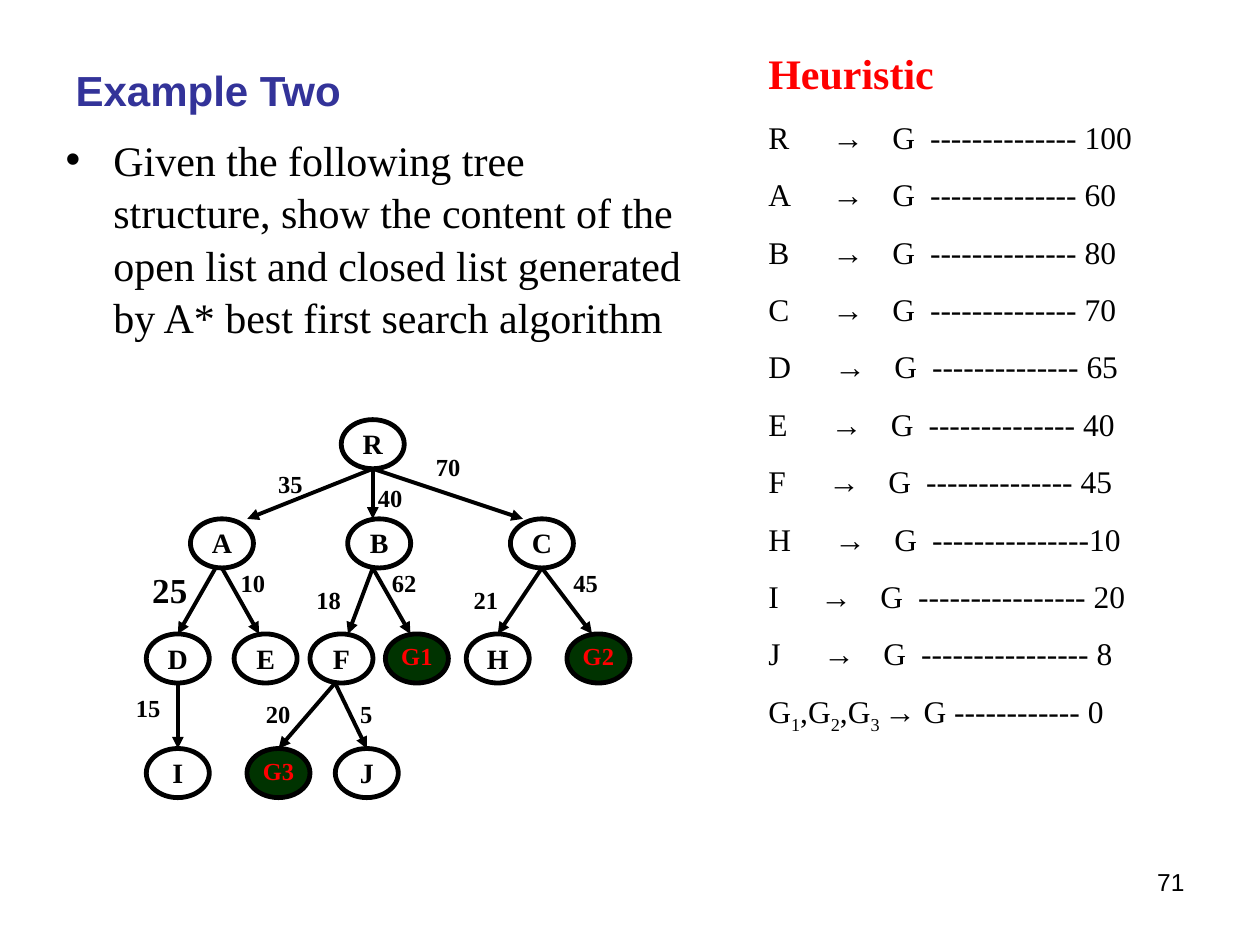
from pptx import Presentation
from pptx.dml.color import RGBColor
from pptx.enum import shapes, text
from pptx.oxml import parse_xml
from pptx.oxml.ns import nsdecls, qn
from pptx.util import Cm, Pt

HUES = {"ink": "000000", "title": "333399", "red": "FF0000",
        "goal": "003300", "paper": "FFFFFF"}
SERIF, SANS = "Times New Roman", "Arial"

TITLE = "Example Two"
TASK = ("Given the following tree structure, show the content of the open list "
        "and closed list generated by A* best first search algorithm")
PAGE = "71"

# node, dashes and cost, shift of the tab stops
COSTS = [
    ("R", "-------------- 100", 0),
    ("A", "-------------- 60", 0),
    ("B", "-------------- 80", 0),
    ("C", "-------------- 70", 0),
    ("D", "-------------- 65", 0.04),
    ("E", "-------------- 40", -0.03),
    ("F", "-------------- 45", -0.08),
    ("H", "---------------10", 0.04),
    ("I", "---------------- 20", -0.24),
    ("J", "---------------- 8", -0.18),
]
STOPS = (1.29, 2.5, 3.26)
GOALS = [("G", 0), ("1", 1), (",G", 0), ("2", 1), (",G", 0), ("3 ", 1)]

LEVELS = [
    (8.46, {"R": 6.88}),
    (10.46, {"A": 3.84, "B": 7.01, "C": 10.29}),
    (12.78, {"D": 2.95, "E": 4.72, "F": 6.25, "G1": 7.77, "H": 9.4, "G2": 11.43}),
    (15.09, {"I": 2.95, "G3": 4.98, "J": 6.76}),
]
WIDE, HIGH = 1.27, 0.99

# parent, child, shift at start, shift at end, cost, label left, label top, size
EDGES = [
    ("R", "A", 0, 0.51, "35", 5.61, 9.45, 14),
    ("R", "B", 0, -0.13, "40", 7.62, 9.73, 14),
    ("R", "C", 0, -0.38, "70", 8.79, 9.12, 14),
    ("A", "D", -0.13, 0, "25", 3.07, 11.46, 20),
    ("A", "E", 0, -0.13, "10", 4.85, 11.46, 14),
    ("B", "F", -0.13, 0.13, "18", 6.38, 11.79, 14),
    ("B", "G1", -0.13, -0.13, "62", 7.9, 11.46, 14),
    ("C", "H", 0, 0, "21", 9.55, 11.79, 14),
    ("C", "G2", 0, -0.13, "45", 11.56, 11.46, 14),
    ("D", "I", 0, 0, "15", 2.74, 13.97, 14),
    ("F", "G3", -0.13, 0, "20", 5.36, 14.1, 14),
    ("F", "J", -0.13, 0, "5", 7.26, 14.1, 14),
]


def tint(name):
    return RGBColor.from_string(HUES[name])


def write(para, words, size, face=SERIF, hue="ink", bold=False, low=False):
    run = para.add_run()
    run.text = words
    font = run.font
    font.size, font.name, font.bold = Pt(size), face, bold
    font.color.rgb = tint(hue)
    if low:
        run._r.get_or_add_rPr().set("baseline", "-25000")


def place(shape, left, top, width, height):
    shape.left, shape.top = Cm(left), Cm(top)
    shape.width, shape.height = Cm(width), Cm(height)


def setup(frame, inset=None):
    frame.word_wrap = True
    frame.auto_size = text.MSO_AUTO_SIZE.NONE
    frame.vertical_anchor = text.MSO_ANCHOR.TOP
    if inset is not None:
        frame.margin_left = frame.margin_right = Cm(inset)
        frame.margin_top = frame.margin_bottom = Cm(inset)
    return frame.paragraphs[0]


def box(slide, left, top, width, height, inset=None):
    area = slide.shapes.add_textbox(Cm(left), Cm(top), Cm(width), Cm(height))
    return area.text_frame, setup(area.text_frame, inset)


def head(slide):
    title, body = slide.shapes.title, slide.placeholders[1]
    place(title, 1.27, 1.27, 6.99, 1.07)
    para = setup(title.text_frame)
    title.text_frame.vertical_anchor = text.MSO_ANCHOR.MIDDLE
    para.alignment = text.PP_ALIGN.LEFT
    write(para, TITLE, 24, SANS, "title", True)

    place(body, 1.07, 2.54, 13.13, 6.15)
    para = setup(body.text_frame)
    props = para._p.get_or_add_pPr()
    props.set("marL", str(Cm(0.96)))
    props.set("indent", str(Cm(-0.96)))
    props.append(parse_xml(f'<a:buChar {nsdecls("a")} char="•"/>'))
    para.space_before = Pt(0)
    para.line_spacing = 1.04
    write(para, TASK, 24)


def table(slide):
    frame, para = box(slide, 15.24, 0.84, 9.32, 14.12)
    write(para, "Heuristic", 24, hue="red", bold=True)
    for node, cost, shift in COSTS:
        para = frame.add_paragraph()
        stops = "".join(f'<a:tab pos="{Cm(s + shift)}" algn="l"/>' for s in STOPS)
        para._p.get_or_add_pPr().append(
            parse_xml(f'<a:tabLst {nsdecls("a")}>{stops}</a:tabLst>'))
        para.space_before = Pt(11.2)
        write(para, node + "\t", 18)
        write(para, "→", 18, SANS)
        write(para, f"\tG\t{cost}", 18)
    para = frame.add_paragraph()
    para.space_before = Pt(11.2)
    for words, low in GOALS:
        write(para, words, 18, low=low)
    write(para, "→", 18, SANS)
    write(para, " G ------------ 0", 18)


def tree(slide):
    spots = {}
    for top, row in LEVELS:
        for name, left in row.items():
            spots[name] = (left + WIDE / 2, top)
            goal = name.startswith("G")
            oval = slide.shapes.add_shape(shapes.MSO_SHAPE.OVAL, Cm(left), Cm(top),
                                          Cm(WIDE), Cm(HIGH))
            oval.shadow.inherit = False
            oval.fill.solid()
            oval.fill.fore_color.rgb = tint("goal" if goal else "paper")
            oval.line.color.rgb = tint("ink")
            oval.line.width = Pt(2.75)
            para = setup(oval.text_frame, 0)
            para.alignment = text.PP_ALIGN.CENTER
            write(para, name, 14 if goal else 16, hue="red" if goal else "ink", bold=True)

    for parent, child, start, end, cost, left, top, size in EDGES:
        (ax, ay), (bx, by) = spots[parent], spots[child]
        line = slide.shapes.add_connector(shapes.MSO_CONNECTOR.STRAIGHT, Cm(ax + start),
                                          Cm(ay + HIGH), Cm(bx + end), Cm(by))
        line.line.color.rgb = tint("ink")
        line.line.width = Pt(2.25)
        props = line._element.spPr
        props.find(qn("a:ln")).append(
            parse_xml(f'<a:tailEnd {nsdecls("a")} type="triangle"/>'))
        props.append(parse_xml(f'<a:effectLst {nsdecls("a")}/>'))
        _, para = box(slide, left, top, 1.02, 0.66, 0)
        write(para, cost, size, bold=True)


def main():
    deck = Presentation()
    deck.slide_width, deck.slide_height = Cm(25.4), Cm(19.05)
    slide = deck.slides.add_slide(deck.slide_layouts[1])
    head(slide)
    table(slide)
    tree(slide)
    _, para = box(slide, 18.21, 17.35, 5.92, 1.32)
    para.alignment = text.PP_ALIGN.RIGHT
    write(para, PAGE, 14, SANS)
    deck.save("out.pptx")


if __name__ == "__main__":
    main()
